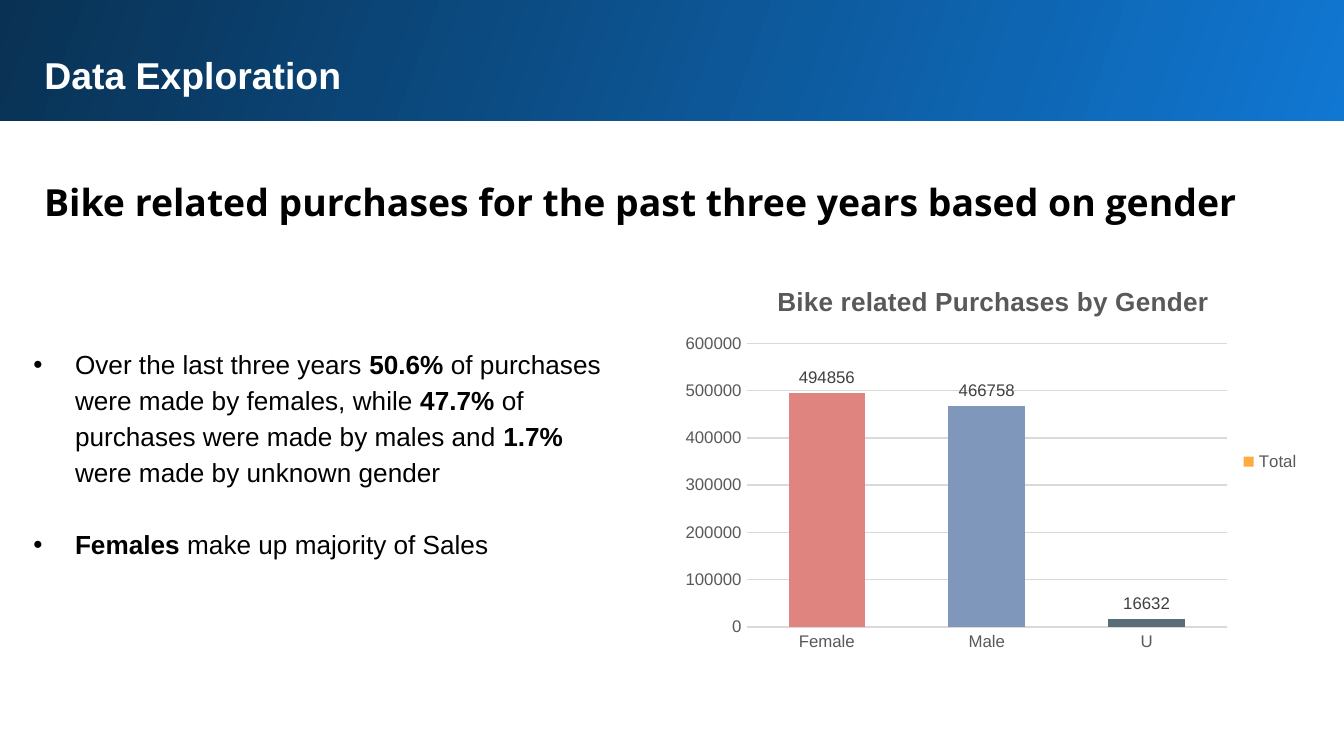
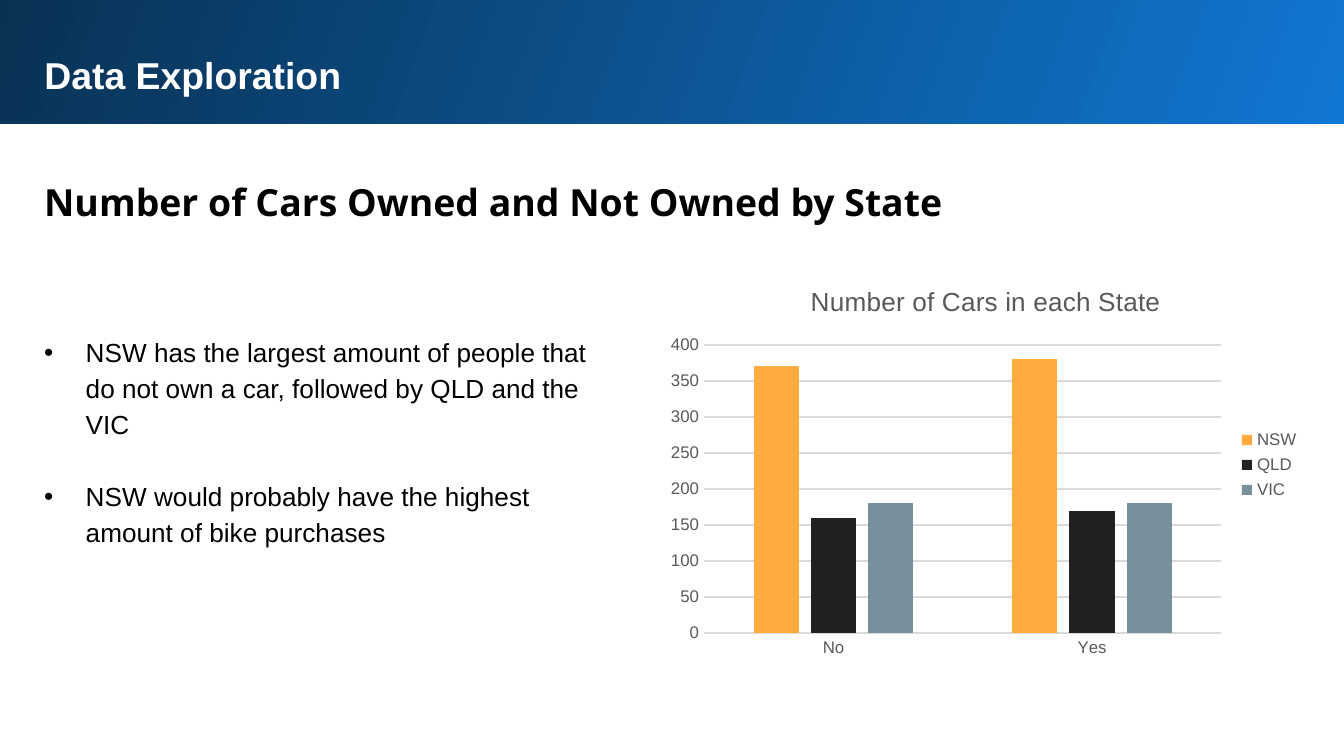
"""Build two data exploration slides, each with bullets and a column chart."""
from lxml import etree
from pptx import Presentation
from pptx import util as u
from pptx.chart import data
from pptx.dml.color import RGBColor
from pptx.enum import chart as ch, shapes, text
from pptx.oxml import ns

SKY = RGBColor(0x10, 0x77, 0xD2)
NAVY = RGBColor(0x09, 0x31, 0x53)
WHITE = RGBColor(0xFF, 0xFF, 0xFF)
BLACK = RGBColor(0, 0, 0)
GRID = RGBColor(0xD9, 0xD9, 0xD9)
GREY = RGBColor(0x59, 0x59, 0x59)
DARK = RGBColor(0x40, 0x40, 0x40)
AMBER = RGBColor(0xFF, 0xAB, 0x40)
COAL = RGBColor(0x21, 0x21, 0x21)
STEEL = RGBColor(0x78, 0x90, 0x9C)
ROSE = RGBColor(0xE0, 0x84, 0x7F)
BLUE = RGBColor(0x80, 0x97, 0xBC)
SLATE = RGBColor(0x58, 0x6D, 0x77)

PAGES = [
    dict(
        band=(-0.02, -0.02),
        head="Bike related purchases for the past three years based on gender",
        body=(0.15, 2.46, 4.52, 2.39),
        notes=["Over the last three years *50.6% *of purchases were made by "
               "females, while *47.7% *of purchases were made by males and "
               "*1.7% *were made by unknown gender",
               "*Females* make up majority of Sales"],
        box=(5.01, 1.97, 4.76, 2.93), plot=(0.115, 0.2, 0.75, 0.72),
        title="Bike related Purchases by Gender", bold=True,
        cats=["Female", "Male", "U"],
        series=[("Total", [494856, 466758, 16632], AMBER)],
        points=[ROSE, BLUE, SLATE], gap=109, top=600000, step=100000),
    dict(
        band=(-0.05, 0),
        head="Number of Cars Owned and Not Owned by State",
        body=(0.23, 2.37, 4.5, 1.53),
        notes=["NSW has the largest amount of people that do not own a car, "
               "followed by QLD and the VIC",
               "NSW would probably have the highest amount of bike purchases"],
        box=(4.9, 1.97, 4.87, 2.98), plot=(0.07, 0.2, 0.79, 0.72),
        title="Number of Cars in each State", bold=False,
        cats=["No", "Yes"],
        series=[("NSW", [370, 380], AMBER), ("QLD", [160, 170], COAL),
                ("VIC", [180, 180], STEEL)],
        points=[], gap=219, top=400, step=50),
]


def style(font, size, color, bold=False, name="Arial"):
    font.size, font.bold, font.name = u.Pt(size), bold, name
    font.color.rgb = color


def frame(shape, box):
    shape.left, shape.top, shape.width, shape.height = map(u.Inches, box)
    tf = shape.text_frame
    tf.word_wrap = True
    tf.auto_size = text.MSO_AUTO_SIZE.NONE
    tf.vertical_anchor = text.MSO_ANCHOR.TOP
    tf.margin_left = tf.margin_right = u.Inches(0.1)
    tf.margin_top = tf.margin_bottom = u.Inches(0.1)
    return tf


prs = Presentation()
prs.slide_width = u.Inches(10)
prs.slide_height = prs.slide_width * 9 // 16

for page in PAGES:
    slide = prs.slides.add_slide(prs.slide_layouts[5])
    title = slide.shapes.title

    band = slide.shapes.add_shape(
        shapes.MSO_SHAPE.RECTANGLE,
        *map(u.Inches, (*page["band"], 10.05, 0.92)))
    band.shadow.inherit = False
    band.line.fill.background()
    band.fill.gradient()
    band.fill.gradient_angle = 160
    for stop, color, place in zip(band.fill.gradient_stops, (SKY, NAVY), (0, 1)):
        stop.color.rgb, stop.position = color, place
    title.element.addprevious(band.element)

    tf = frame(title, (0.23, 0.29, 9.37, 0.54))
    tf.text = "Data Exploration"
    para = tf.paragraphs[0]
    para.alignment = text.PP_ALIGN.LEFT
    style(para.font, 20, WHITE, True)

    tf = frame(slide.shapes.add_textbox(0, 0, 0, 0), (0.23, 1.18, 9.37, 0.56))
    para = tf.paragraphs[0]
    para.text = page["head"]
    para.line_spacing = 1.15
    style(para.font, 20, BLACK, True, "Open Sans")

    tf = frame(slide.shapes.add_textbox(0, 0, 0, 0), page["body"])
    for i, note in enumerate(page["notes"]):
        para = tf.add_paragraph() if i else tf.paragraphs[0]
        para.line_spacing = 1.15
        para.space_before = u.Pt(19.3 if i else 0)
        style(para.font, 14, BLACK)
        for j, part in enumerate(note.split("*")):
            if part:
                run = para.add_run()
                run.text = part
                style(run.font, 14, BLACK, j % 2 == 1)
        props = para._p.get_or_add_pPr()
        props.set("marL", str(u.Inches(0.31)))
        props.set("indent", str(-u.Inches(0.31)))
        last = props.find(ns.qn("a:defRPr"))
        for tag, key, val in (("a:buSzPts", "val", "1400"),
                              ("a:buFont", "typeface", "Arial"),
                              ("a:buChar", "char", "•")):
            last.addprevious(etree.Element(ns.qn(tag), {key: val}))
        etree.SubElement(para._p, ns.qn("a:endParaRPr"), sz="1400")

    facts = data.CategoryChartData(number_format="0")
    facts.categories = page["cats"]
    for name, vals, color in page["series"]:
        facts.add_series(name, vals)
    chart = slide.shapes.add_chart(
        ch.XL_CHART_TYPE.COLUMN_CLUSTERED,
        *map(u.Inches, page["box"]), facts).chart
    style(chart.font, 10, BLACK)
    chart.has_title = True
    para = chart.chart_title.text_frame.paragraphs[0]
    para.text = page["title"]
    style(para.font, 14, GREY, page["bold"])
    chart.chart_title.include_in_layout = False

    chart.has_legend = True
    chart.legend.position = ch.XL_LEGEND_POSITION.RIGHT
    chart.legend.include_in_layout = False
    style(chart.legend.font, 9, GREY)

    cat, val = chart.category_axis, chart.value_axis
    for axis in (cat, val):
        axis.major_tick_mark = axis.minor_tick_mark = ch.XL_TICK_MARK.NONE
        style(axis.tick_labels.font, 9, GREY)
    val.minimum_scale, val.maximum_scale = 0, page["top"]
    val.major_unit = page["step"]
    val.format.line.fill.background()
    for line in (cat.format.line, val.major_gridlines.format.line):
        line.color.rgb, line.width = GRID, u.Pt(0.75)

    plot = chart.plots[0]
    plot.vary_by_categories = False
    plot.gap_width, plot.overlap = page["gap"], -27
    for series, (name, vals, color) in zip(plot.series, page["series"]):
        series.format.fill.solid()
        series.format.fill.fore_color.rgb = color
    for i, color in enumerate(page["points"]):
        fill = plot.series[0].points[i].format.fill
        fill.solid()
        fill.fore_color.rgb = color
    if page["points"]:
        labels = plot.series[0].data_labels
        labels.show_value = True
        labels.position = ch.XL_LABEL_POSITION.OUTSIDE_END
        labels.number_format, labels.number_format_is_linked = "0", False
        style(labels.font, 9, DARK)

    area = chart.element.find(".//" + ns.qn("c:plotArea"))
    for old in area.findall(ns.qn("c:layout")):
        area.remove(old)
    layout = etree.Element(ns.qn("c:layout"))
    area.insert(0, layout)
    manual = etree.SubElement(layout, ns.qn("c:manualLayout"))
    keys = ("layoutTarget", "xMode", "yMode", "x", "y", "w", "h")
    for key, num in zip(keys, ("inner", "edge", "edge", *page["plot"])):
        etree.SubElement(manual, ns.qn("c:" + key), val=str(num))

prs.save("out.pptx")
